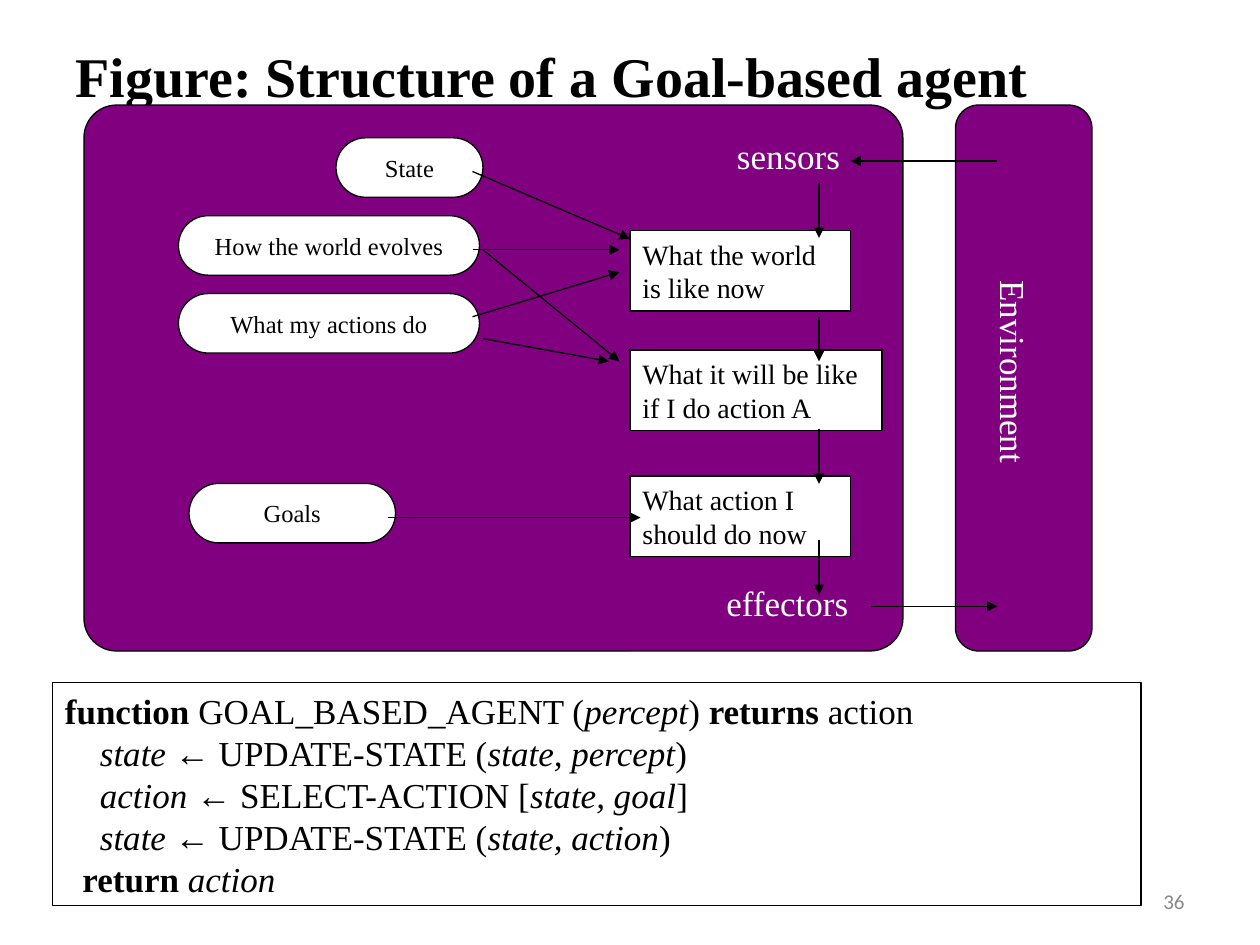
from pptx import Presentation
from pptx.dml.color import RGBColor
from pptx.enum.shapes import MSO_CONNECTOR, MSO_SHAPE
from pptx.enum.text import MSO_ANCHOR, PP_ALIGN
from pptx.oxml.ns import qn
from pptx.util import Pt
from lxml import etree

BLACK = RGBColor(0x00, 0x00, 0x00)
WHITE = RGBColor(0xFF, 0xFF, 0xFF)
PURPLE = RGBColor(0x80, 0x00, 0x80)
GREY = RGBColor(0x89, 0x89, 0x89)
SERIF = "Times New Roman"


def add_span(para, text, size, color=BLACK, name=SERIF, bold=False, italic=False):
    span = para.add_run()
    span.text = text
    font = span.font
    font.size, font.name, font.bold, font.italic = Pt(size), name, bold, italic
    font.color.rgb = color


def add_outlined(kind, left, top, width, height, fill=None):
    shape = page.shapes.add_shape(kind, Pt(left), Pt(top), Pt(width), Pt(height))
    shape.shadow.inherit = False
    if fill is None:
        shape.fill.background()
    else:
        shape.fill.solid()
        shape.fill.fore_color.rgb = fill
    shape.line.color.rgb = BLACK
    shape.line.width = Pt(0.75)
    shape.text_frame.word_wrap = True
    shape.text_frame.paragraphs[0].alignment = PP_ALIGN.LEFT
    return shape


deck = Presentation()
deck.slide_width, deck.slide_height = Pt(720), Pt(540)
page = deck.slides.add_slide(deck.slide_layouts[5])

# Title
title = page.shapes.title
title.left, title.top, title.width, title.height = Pt(36), Pt(12), Pt(648), Pt(56)
title.text_frame.margin_top = Pt(9.6)
title.text_frame.vertical_anchor = MSO_ANCHOR.MIDDLE
title.text_frame.paragraphs[0].alignment = PP_ALIGN.LEFT
add_span(title.text_frame.paragraphs[0],
         "Figure: Structure of a Goal-based agent", 32, bold=True)

# Agent and environment panels
for left, width, rounding in [(48, 468, 0.06), (546, 78, 0.17)]:
    panel = add_outlined(MSO_SHAPE.ROUNDED_RECTANGLE, left, 60, width, 312, PURPLE)
    panel.adjustments[0] = rounding

# Knowledge pills
for text, left, top, width in [
    ("State", 192, 78.75, 84),
    ("How the world evolves", 102, 123.25, 172),
    ("What my actions do", 102, 167.75, 172),
    ("Goals", 108, 276.25, 118),
]:
    pill = add_outlined(MSO_SHAPE.ROUNDED_RECTANGLE, left, top, width, 34, WHITE)
    pill.adjustments[0] = 0.5
    para = pill.text_frame.paragraphs[0]
    para.alignment = PP_ALIGN.CENTER
    add_span(para, text, 14)

# Decision steps
for text, top, width in [
    ("What the world is like now", 131.75, 126),
    ("What it will be like if I do action A", 200, 144),
    ("What action I should do now", 272, 126),
]:
    step = add_outlined(MSO_SHAPE.RECTANGLE, 360, top, width, 46, WHITE)
    add_span(step.text_frame.paragraphs[0], text, 16)

# Labels on the panels and the page number
for text, left, top, width, height, turn, size, color, name in [
    ("sensors", 414, 73, 73.5, 32, 0, 20, WHITE, SERIF),
    ("effectors", 408, 328, 96, 32, 0, 20, WHITE, SERIF),
    ("Environment", 520, 196.5, 119, 32, 90, 20, WHITE, SERIF),
    ("36", 516, 500.5, 168, 29, 0, 12, GREY, "Calibri"),
]:
    box = page.shapes.add_textbox(Pt(left), Pt(top), Pt(width), Pt(height))
    box.rotation = turn
    box.text_frame.word_wrap = not turn
    box.text_frame.vertical_anchor = MSO_ANCHOR.MIDDLE
    para = box.text_frame.paragraphs[0]
    para.alignment = PP_ALIGN.RIGHT if color == GREY else PP_ALIGN.LEFT
    add_span(para, text, size, color, name)

# Arrows
for x1, y1, x2, y2 in [
    (570, 92, 486, 92),       # environment to sensors
    (498, 346.5, 570, 346.5), # effectors to environment
    (468, 104.5, 468, 136),   # down the chain of steps
    (468, 181, 468, 206.5),
    (468, 245, 468, 276.5),
    (468, 308.5, 468, 340),
    (270, 98, 360, 136.5),    # knowledge to steps
    (270, 142.75, 354, 142.75),
    (270, 181, 354, 155.5),
    (276, 142.75, 354, 206.5),
    (276, 193.5, 348, 206.5),
    (222, 295.75, 366, 295.75),
]:
    arrow = page.shapes.add_connector(
        MSO_CONNECTOR.STRAIGHT, Pt(x1), Pt(y1), Pt(x2), Pt(y2))
    arrow.line.color.rgb = BLACK
    arrow.line.width = Pt(0.75)
    line = arrow.line._get_or_add_ln()
    etree.SubElement(line, qn("a:tailEnd"), type="triangle")
    etree.SubElement(arrow._element.spPr, qn("a:effectLst"))

# Pseudocode: each line is an indent and its (text, style) spans
code = add_outlined(MSO_SHAPE.RECTANGLE, 30, 390, 622, 127.5)
code_lines = [
    (0, [("function", "bold"), (" GOAL_BASED_AGENT (", ""), ("percept", "italic"),
         (") ", ""), ("returns", "bold"), (" action", "")]),
    (20, [("state ", "italic"), ("←", "arrow"), (" UPDATE-STATE (", ""),
          ("state, percept", "italic"), (")", "")]),
    (20, [("action ", "italic"), ("←", "arrow"), (" SELECT-ACTION [", ""),
          ("state, goal", "italic"), ("]", "")]),
    (20, [("state ", "italic"), ("←", "arrow"), (" UPDATE-STATE (", ""),
          ("state, action", "italic"), (")", "")]),
    (10, [("return ", "bold"), ("action", "italic")]),
]
for number, (indent, spans) in enumerate(code_lines):
    frame = code.text_frame
    para = frame.add_paragraph() if number else frame.paragraphs[0]
    para.alignment = PP_ALIGN.LEFT
    para._p.get_or_add_pPr().set("marL", str(Pt(indent)))
    for text, style in spans:
        add_span(para, text, 20, name="Arial" if style == "arrow" else SERIF,
                 bold=style == "bold", italic=style == "italic")

deck.save("out.pptx")
